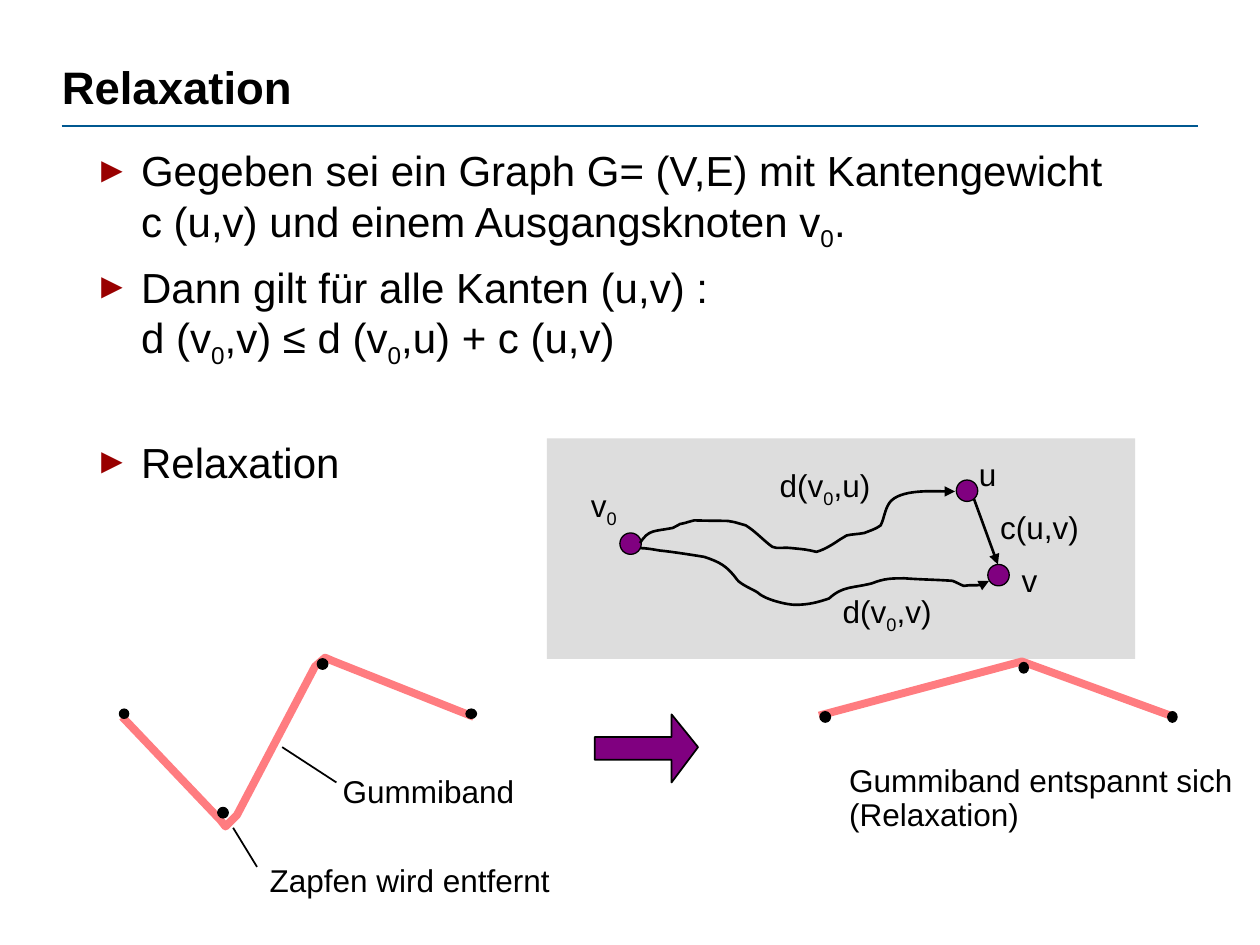
from lxml import etree
from pptx import Presentation
from pptx.dml.color import RGBColor
from pptx.enum import shapes, text
from pptx.oxml import ns
from pptx.util import Inches, Pt

BLACK = RGBColor(0x00, 0x00, 0x00)
RULE_BLUE = RGBColor(0x00, 0x58, 0x90)
PANEL_GRAY = RGBColor(0xDD, 0xDD, 0xDD)
BAND_PINK = RGBColor(0xFF, 0x7C, 0x80)
PURPLE = RGBColor(0x80, 0x00, 0x80)
BULLET_RED = RGBColor(0x99, 0x00, 0x00)
FONT = "Arial"

# Each path is a start point followed by groups of three Bezier points
PATH_TO_U = [
    (5.08, 4.31), (5.15, 4.2), (5.19, 4.22), (5.34, 4.19),
    (5.44, 4.14), (5.36, 4.17), (5.44, 4.15),
    (5.47, 4.14), (5.51, 4.13), (5.51, 4.13),
    (5.86, 4.14), (5.74, 4.12), (5.92, 4.17),
    (6, 4.22), (6.06, 4.29), (6.13, 4.34),
    (6.17, 4.36), (6.23, 4.34), (6.28, 4.35),
    (6.38, 4.36), (6.4, 4.36), (6.48, 4.38),
    (6.55, 4.36), (6.61, 4.32), (6.67, 4.28),
    (6.69, 4.27), (6.7, 4.26), (6.72, 4.25),
    (6.76, 4.24), (6.81, 4.24), (6.86, 4.23),
    (6.91, 4.21), (6.95, 4.2), (6.99, 4.17),
    (7.02, 4.11), (7.02, 4.05), (7.06, 3.99),
    (7.14, 3.88), (7.42, 3.9), (7.51, 3.9),
    (7.53, 3.9), (7.56, 3.9), (7.58, 3.9)]
PATH_TO_V = [
    (5.08, 4.35), (5.13, 4.35), (5.18, 4.36), (5.24, 4.37),
    (5.35, 4.38), (5.59, 4.42), (5.59, 4.42),
    (5.71, 4.46), (5.77, 4.49), (5.85, 4.6),
    (5.88, 4.64), (5.98, 4.68), (6.01, 4.7),
    (6.07, 4.76), (6.25, 4.8), (6.31, 4.8),
    (6.42, 4.8), (6.49, 4.78), (6.58, 4.75),
    (6.69, 4.65), (6.76, 4.67), (6.92, 4.63),
    (7.02, 4.59), (7.08, 4.59), (7.18, 4.59),
    (7.31, 4.6), (7.43, 4.6), (7.56, 4.61),
    (7.59, 4.62), (7.62, 4.64), (7.65, 4.65),
    (7.7, 4.64), (7.75, 4.65), (7.8, 4.64),
    (7.81, 4.63), (7.81, 4.61), (7.82, 4.61),
    (7.83, 4.6), (7.84, 4.61), (7.85, 4.61)]


def style_line(line, color, width, arrow=False):
    line.color.rgb = color
    line.width = Pt(width)
    if arrow:
        outline = line.color._xFill.getparent()
        etree.SubElement(outline, ns.qn("a:tailEnd"), type="triangle")


def add_line(slide, start, end, color=BLACK, width=1, arrow=False):
    connector = slide.shapes.add_connector(
        shapes.MSO_CONNECTOR.STRAIGHT, *map(Inches, start + end))
    style_line(connector.line, color, width, arrow)
    etree.SubElement(connector._element.spPr, ns.qn("a:effectLst"))


def add_preset(slide, kind, box, fill, line_width=None):
    shape = slide.shapes.add_shape(kind, *map(Inches, box))
    shape.shadow.inherit = False
    shape.fill.solid()
    shape.fill.fore_color.rgb = fill
    if line_width is None:
        shape.line.fill.background()
    else:
        style_line(shape.line, BLACK, line_width)


def add_outline(slide, points, color, width, fill=None, arrow=False):
    builder = slide.shapes.build_freeform(
        *map(Inches, points[0]), scale=1.0)
    builder.add_line_segments(
        [(Inches(x), Inches(y)) for x, y in points[1:]],
        close=fill is not None)
    shape = builder.convert_to_shape()
    shape.shadow.inherit = False
    if fill is None:
        shape.fill.background()
    else:
        shape.fill.solid()
        shape.fill.fore_color.rgb = fill
    style_line(shape.line, color, width, arrow)
    return shape


def add_curved_arrow(slide, controls):
    """Outline the anchors, then bend each segment into a Bezier curve."""
    shape = add_outline(slide, controls[::3], BLACK, 1.5, arrow=True)
    segments = list(shape._element.iter(ns.qn("a:lnTo")))
    for number, segment in enumerate(segments):
        segment.tag = ns.qn("a:cubicBezTo")
        handles = controls[3 * number + 1:3 * number + 3]
        for position, (x, y) in enumerate(handles):
            handle = etree.Element(
                ns.qn("a:pt"), x=str(Inches(x) - shape.left),
                y=str(Inches(y) - shape.top))
            segment.insert(position, handle)


def format_run(run, size, bold=False):
    run.font.name = FONT
    run.font.size = Pt(size)
    run.font.bold = bold
    run.font.color.rgb = BLACK


def write_text(paragraph, content, size):
    """Write text; the character after an underscore is a subscript."""
    for number, line in enumerate(content.split("\n")):
        if number:
            paragraph.add_line_break()
        plain, *subscripted = line.split("_")
        pieces = [(plain, False)]
        for part in subscripted:
            pieces += [(part[0], True), (part[1:], False)]
        for piece, lowered in pieces:
            if piece:
                run = paragraph.add_run()
                run.text = piece
                format_run(run, size)
                if lowered:
                    run.font._element.set("baseline", "-25000")


def clear_insets(frame):
    frame.margin_left = frame.margin_right = 0
    frame.margin_top = frame.margin_bottom = 0


def add_label(slide, content, box, inset=True):
    frame = slide.shapes.add_textbox(*map(Inches, box)).text_frame
    frame.word_wrap = False
    frame.auto_size = text.MSO_AUTO_SIZE.SHAPE_TO_FIT_TEXT
    if not inset:
        clear_insets(frame)
    write_text(frame.paragraphs[0], content, 18)


def add_title(slide, content):
    title = slide.shapes.title
    title.left, title.top, title.width, title.height = map(
        Inches, (0.49, 0.47, 9, 0.68))
    frame = title.text_frame
    frame.text = content
    clear_insets(frame)
    frame.vertical_anchor = text.MSO_ANCHOR.TOP
    frame.paragraphs[0].alignment = text.PP_ALIGN.LEFT
    format_run(frame.paragraphs[0].runs[0], 26, bold=True)


def add_bullets(slide, items):
    frame = slide.shapes.add_textbox(
        *map(Inches, (0.49, 1.15, 9, 5.82))).text_frame
    frame.word_wrap = True
    clear_insets(frame)
    for number, (content, space) in enumerate(items):
        paragraph = frame.add_paragraph() if number else frame.paragraphs[0]
        write_text(paragraph, content, 24)
        paragraph.space_before = Pt(space)
        properties = paragraph._p.get_or_add_pPr()
        properties.set("marL", str(Inches(0.63)))
        properties.set("indent", str(Inches(-0.37)))
        color = etree.SubElement(properties, ns.qn("a:buClr"))
        etree.SubElement(color, ns.qn("a:srgbClr"), val=str(BULLET_RED))
        etree.SubElement(properties, ns.qn("a:buSzPct"), val="85000")
        etree.SubElement(properties, ns.qn("a:buFont"), typeface=FONT)
        etree.SubElement(properties, ns.qn("a:buChar"), char="►")


def main():
    presentation = Presentation()
    presentation.slide_width, presentation.slide_height = Inches(10), Inches(7.5)
    slide = presentation.slides.add_slide(presentation.slide_layouts[5])
    oval = shapes.MSO_SHAPE.OVAL

    # Heading and statements
    add_line(slide, (0.49, 1), (9.51, 1), RULE_BLUE, 0.75)
    add_preset(slide, shapes.MSO_SHAPE.RECTANGLE, (4.34, 3.48, 4.67, 1.75), PANEL_GRAY)
    add_title(slide, "Relaxation")
    add_bullets(slide, [
        ("Gegeben sei ein Graph G= (V,E) mit Kantengewicht \n"
         "c (u,v) und einem Ausgangsknoten v_0.", 0),
        ("Dann gilt für alle Kanten (u,v) :\nd (v_0,v) ≤ d (v_0,u) + c (u,v)", 5),
        ("Relaxation", 38.5)])

    # Rubber band before and after, with its pegs
    tense = [(0.97, 5.69), (1.75, 6.51), (1.79, 6.56), (1.88, 6.47),
             (2.5, 5.29), (2.58, 5.22), (2.65, 5.25), (3.76, 5.69)]
    relaxed = [(6.5, 5.68), (8.11, 5.25), (9.29, 5.68)]
    for band in (tense, relaxed):
        add_outline(slide, band, BAND_PINK, 4.5)
    for peg in ((2.52, 5.23, 0.08, 0.08), (1.73, 6.41, 0.08, 0.08),
                (0.95, 5.63, 0.07, 0.07), (3.7, 5.63, 0.08, 0.07),
                (8.09, 5.26, 0.07, 0.08), (6.51, 5.65, 0.08, 0.08),
                (9.27, 5.65, 0.07, 0.08)):
        add_preset(slide, oval, peg, BLACK, 1)
    add_line(slide, (2.24, 5.93), (2.67, 6.21))
    add_line(slide, (1.85, 6.57), (2.04, 6.88))
    for content, left, top, width in (
            ("Gummiband", 2.72, 6.13, 1.37),
            ("Zapfen wird entfernt", 2.14, 6.83, 2.24),
            ("Gummiband entspannt sich ", 6.74, 6.04, 3.14),
            ("(Relaxation)", 6.74, 6.31, 1.36)):
        add_label(slide, content, (left, top, width, 0.3), inset=False)
    add_outline(slide, [(4.72, 5.85), (5.33, 5.85), (5.33, 5.67), (5.54, 5.93),
                        (5.33, 6.21), (5.33, 6.03), (4.72, 6.03)], BLACK, 1, PURPLE)

    # Graph with nodes, labels and paths
    for left, top in ((4.92, 4.23), (7.59, 3.81), (7.84, 4.48)):
        add_preset(slide, oval, (left, top, 0.17, 0.17), PURPLE, 0.75)
    for content, left, top, width in (
            ("v_0", 4.59, 3.81, 0.42), ("v", 8.01, 4.4, 0.33),
            ("u", 7.67, 3.56, 0.34), ("d(v_0,v)", 6.59, 4.65, 0.93),
            ("d(v_0,u)", 6.09, 3.65, 0.94), ("c(u,v)", 7.84, 3.98, 0.83)):
        add_label(slide, content, (left, top, width, 0.4))
    add_line(slide, (7.73, 3.96), (7.92, 4.48), width=1.5, arrow=True)
    for path in (PATH_TO_U, PATH_TO_V):
        add_curved_arrow(slide, path)

    presentation.save("out.pptx")


main()
